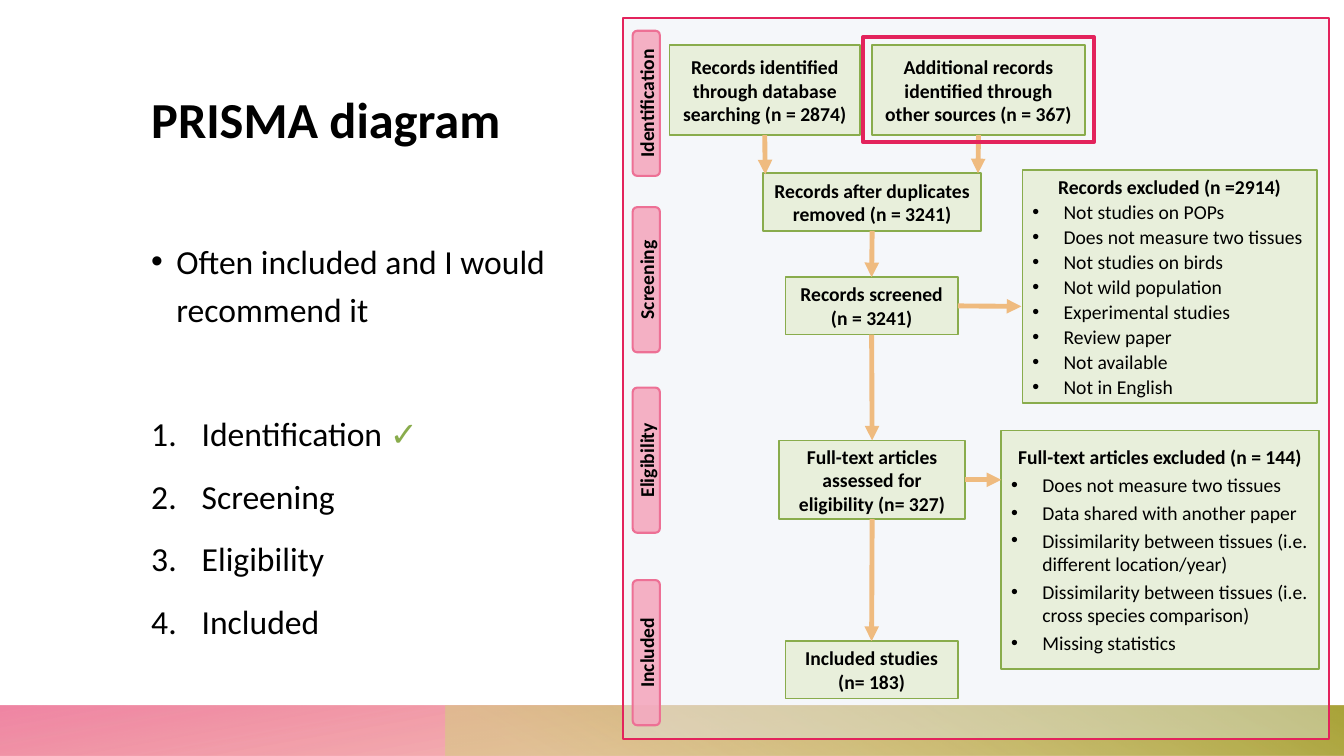
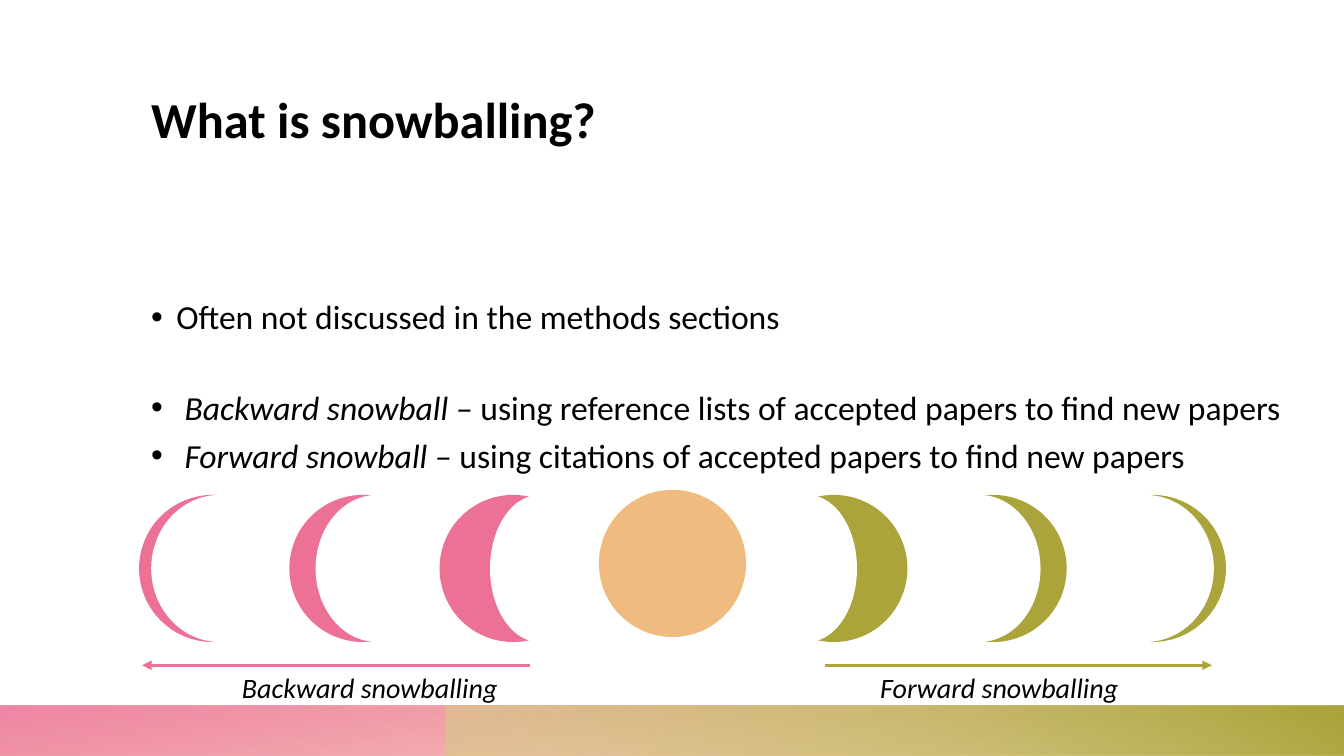
from dataclasses import dataclass
from typing import NamedTuple, Optional

from lxml import etree
from pptx import Presentation
from pptx import util as u
from pptx.dml.color import RGBColor
from pptx.enum import shapes, text
from pptx.oxml.ns import qn

PX = 9144  # EMU per px, 100 px to the inch
WIDTH, HEIGHT = 1333, 750
FONT = "Calibri"
COLORS = {
    "black": "000000", "white": "FFFFFF", "pane": "E6ECF3", "crimson": "E3235C",
    "pink": "ED7095", "light_pink": "F4A9BF", "coral": "E96150", "amber": "EFBB7F",
    "green": "89AC4C", "light_green": "E8EFDB", "olive": "AAA43A", "light_olive": "D4D081",
}
RECT = shapes.MSO_SHAPE.RECTANGLE
OVAL = shapes.MSO_SHAPE.OVAL
ROUNDED = shapes.MSO_SHAPE.ROUNDED_RECTANGLE
TOP, MIDDLE = text.MSO_ANCHOR.TOP, text.MSO_ANCHOR.MIDDLE
LEFT, CENTER = text.PP_ALIGN.LEFT, text.PP_ALIGN.CENTER
SIDE_TOP, SIDE_LEFT, SIDE_BOTTOM, SIDE_RIGHT = range(4)


class Area(NamedTuple):
    left: int
    top: int
    width: int
    height: int


class Stop(NamedTuple):
    position: float
    color: str
    alpha: int


class Band(NamedTuple):
    area: Area
    rotation: int
    angle: int
    stops: tuple[Stop, Stop]


@dataclass(frozen=True)
class Span:
    text: str
    bold: bool = False
    italic: bool = False
    color: str = "black"
    font: str = FONT


@dataclass(frozen=True)
class Para:
    spans: tuple[Span, ...]
    align: text.PP_ALIGN = LEFT
    bullet: str = ""  # "•", "1." or none
    indent: int = 0
    spacing: float = 1.0
    before: int = 0
    after: int = 0


@dataclass(frozen=True)
class FlowBox:
    area: Area
    heading: str
    items: tuple[str, ...] = ()
    item_gap: int = 0


@dataclass(frozen=True)
class Flow:
    start: str
    side: int
    end: str = ""  # joined box, or
    tip: Optional[tuple[int, int]] = None  # a free end


BANDS = (
    Band(Area(0, 700, WIDTH, 50), 180, 100, (Stop(0.14, "coral", 28), Stop(1, "pink", 85))),
    Band(Area(442, 700, 891, 50), 0, 240, (Stop(0.09, "light_olive", 55), Stop(0.99, "olive", 100))),
)
BOXES = {
    "database": FlowBox(Area(664, 45, 189, 89), "Records identified through database searching (n = 2874)"),
    "other": FlowBox(Area(865, 45, 211, 89), "Additional records identified through other sources (n = 367)"),
    "unique": FlowBox(Area(757, 172, 216, 57), "Records after duplicates removed (n = 3241)"),
    "screened": FlowBox(Area(779, 275, 171, 57), "Records screened (n = 3241)"),
    "excluded": FlowBox(
        Area(1014, 169, 292, 231), "Records excluded (n =2914)",
        ("Not studies on POPs", "Does not measure two tissues", "Not studies on birds",
         "Not wild population", "Experimental studies", "Review paper", "Not available",
         "Not in English"), 1),
    "assessed": FlowBox(Area(773, 437, 184, 78), "Full-text articles assessed for eligibility (n= 327)"),
    "rejected": FlowBox(
        Area(993, 427, 315, 237), "Full-text articles excluded (n = 144)",
        ("Does not measure two tissues", "Data shared with another paper",
         "Dissimilarity between tissues (i.e. different location/year)",
         "Dissimilarity between tissues (i.e. cross species comparison)",
         "Missing statistics"), 3),
    "included": FlowBox(Area(779, 636, 171, 57), "Included studies (n= 183)"),
}
FLOWS = (
    Flow("database", SIDE_BOTTOM, tip=(759, 173)),
    Flow("other", SIDE_BOTTOM, tip=(970, 172)),
    Flow("unique", SIDE_BOTTOM, "screened"),
    Flow("screened", SIDE_RIGHT, tip=(1013, 304)),
    Flow("screened", SIDE_BOTTOM, "assessed"),
    Flow("assessed", SIDE_RIGHT, tip=(993, 476)),
    Flow("assessed", SIDE_BOTTOM, "included"),
)
STAGES = {"Identification": 89, "Screening": 264, "Eligibility": 443, "Included": 634}


def rgb(name: str) -> RGBColor:
    return RGBColor.from_string(COLORS[name])


def emu(*lengths: int) -> list[int]:
    return [length * PX for length in lengths]


def set_alpha(color_element, percent: int) -> None:
    etree.SubElement(color_element, qn("a:alpha")).set("val", str(percent * 1000))


def add_box(page, kind, area: Area, fill: str = "", line: str = "", weight: float = 1.25,
            alpha: int = 100):
    box = page.shapes.add_shape(kind, *emu(*area))
    box.shadow.inherit = False
    if fill:
        box.fill.solid()
        box.fill.fore_color.rgb = rgb(fill)
        if alpha < 100:
            set_alpha(box.element.find(".//" + qn("a:srgbClr")), alpha)
    else:
        box.fill.background()
    if line:
        box.line.color.rgb = rgb(line)
        box.line.width = u.Pt(weight)
    else:
        box.line.fill.background()
    return box


def add_arrow(page, start: tuple[int, int], end: tuple[int, int], color: str, weight: float):
    arrow = page.shapes.add_connector(shapes.MSO_CONNECTOR.STRAIGHT, *emu(*start, *end))
    arrow.line.color.rgb = rgb(color)
    arrow.line.width = u.Pt(weight)
    outline = arrow.element.spPr.find(qn("a:ln"))
    etree.SubElement(outline, qn("a:tailEnd")).set("type", "triangle")
    etree.SubElement(arrow.element.spPr, qn("a:effectLst"))
    return arrow


def set_bullet(paragraph, bullet: str, indent: int) -> None:
    props = paragraph._p.get_or_add_pPr()
    props.set("marL", str(indent * PX))
    props.set("indent", str(-indent * PX))
    if not bullet:
        etree.SubElement(props, qn("a:buNone"))
        return
    etree.SubElement(props, qn("a:buFont")).set("typeface", "Arial" if bullet == "•" else FONT)
    if bullet == "•":
        etree.SubElement(props, qn("a:buChar")).set("char", bullet)
    else:
        etree.SubElement(props, qn("a:buAutoNum")).set("type", "arabicPeriod")


def write(frame, paras: list[Para], size: int, anchor=MIDDLE, margins: bool = True) -> None:
    frame.word_wrap = True
    frame.auto_size = text.MSO_AUTO_SIZE.NONE
    frame.vertical_anchor = anchor
    if not margins:
        frame.margin_left = frame.margin_right = frame.margin_top = frame.margin_bottom = 0
    frame.text = "\n".join(para.spans[0].text for para in paras)
    for paragraph, para in zip(frame.paragraphs, paras):
        paragraph.alignment = para.align
        paragraph.line_spacing = para.spacing
        paragraph.space_before, paragraph.space_after = u.Pt(para.before), u.Pt(para.after)
        set_bullet(paragraph, para.bullet, para.indent)
        for span in para.spans[1:]:
            paragraph.add_run().text = span.text
        for run, span in zip(paragraph.runs, para.spans):
            run.font.name, run.font.size = span.font, u.Pt(size)
            run.font.bold, run.font.italic = span.bold, span.italic
            run.font.color.rgb = rgb(span.color)


def add_bands(page, master) -> None:
    """Draw the footer bands and hand them to the master."""
    for band in BANDS:
        box = add_box(page, RECT, band.area)
        box.rotation = band.rotation
        box.element.spPr.find(qn("a:xfrm")).set("flipH", "1")
        box.fill.gradient()
        box.fill.gradient_angle = 360 - band.angle
        for grad_stop, stop in zip(box.fill.gradient_stops, band.stops):
            grad_stop.position = stop.position
            grad_stop.color.rgb = rgb(stop.color)
        for color, stop in zip(box.element.iter(qn("a:srgbClr")), band.stops):
            set_alpha(color, stop.alpha)
        master.shapes.element.append(box.element)


def place(shape, area: Area) -> None:
    shape.left, shape.top, shape.width, shape.height = emu(*area)


def add_page(deck, title: str, body_area: Area, body: list[Para]):
    page = deck.slides.add_slide(deck.slide_layouts[1])
    place(page.shapes.title, Area(150, 87, 1120, 135))
    write(page.shapes.title.text_frame, [Para((Span(title, bold=True),))], 36, TOP, False)
    place(page.placeholders[1], body_area)
    write(page.placeholders[1].text_frame, body, 24, TOP, False)
    return page


def add_prisma_page(deck):
    def step(*spans: Span, before: int = 10) -> Para:
        return Para(spans, bullet="1.", indent=50, spacing=1.2, before=before)

    page = add_page(deck, "PRISMA diagram", Area(150, 231, 450, 433), [
        Para((Span("Often included and I would recommend it"),), bullet="•", indent=25,
             spacing=1.2, before=10),
        step(Span("Identification "), Span("✓", bold=True, color="green", font="Arial"), before=54),
        *(step(Span(name)) for name in ("Screening", "Eligibility", "Included")),
    ])
    add_box(page, RECT, Area(618, 18, 700, 715), "pane", "crimson", 1.5, alpha=40)

    # Flow chart boxes and arrows
    drawn = {}
    for name, spec_box in BOXES.items():
        drawn[name] = add_box(page, RECT, spec_box.area, "light_green", "green")
        paras = [Para((Span(spec_box.heading, bold=True),), CENTER)]
        paras += [Para((Span(item),), bullet="•", indent=31, before=spec_box.item_gap)
                  for item in spec_box.items]
        write(drawn[name].text_frame, paras, 14)
    for flow in FLOWS:
        arrow = add_arrow(page, (0, 0), flow.tip or (0, 0), "amber", 3.5)
        arrow.begin_connect(drawn[flow.start], flow.side)
        if flow.end:
            arrow.end_connect(drawn[flow.end], SIDE_TOP)

    # Stage tags, turned to read upwards
    for stage, top in STAGES.items():
        tag = add_box(page, ROUNDED, Area(569, top, 144, 27), "light_pink", "pink", 1.5, alpha=90)
        tag.rotation = 270
        write(tag.text_frame, [Para((Span(stage, bold=True),), CENTER)], 14)

    # Highlight around the additional records
    add_box(page, RECT, Area(856, 37, 229, 104), line="crimson", weight=3)
    return page


def add_snowball_page(deck):
    def method(name: str, meaning: str, before: int = 0) -> Para:
        return Para((Span(name, italic=True), Span(meaning)), bullet="•", indent=33,
                    spacing=1.2, before=before)

    page = add_page(deck, "What is snowballing?", Area(150, 286, 1150, 195), [
        Para((Span("Often not discussed in the methods sections"),), bullet="•", indent=25,
             spacing=1.2, before=10, after=12),
        method("Backward snowball ", "– using reference lists of accepted papers to find new papers", 18),
        method("Forward snowball ", "– using citations of accepted papers to find new papers"),
    ])

    # Crescents: a disc partly hidden by a white oval, thinner outwards
    disc, top, overhang = 146, 491, 2
    for index, mask in enumerate((98, 122, 136)):
        back, ahead = 436 - 149 * index, 754 + 158 * index
        for left, mask_left, color in ((back, back + disc + overhang - mask, "pink"),
                                       (ahead, ahead - overhang, "olive")):
            add_box(page, OVAL, Area(left, top, disc, disc), color)
            add_box(page, OVAL, Area(mask_left, top, mask, disc), "white")
    add_box(page, OVAL, Area(594, 486, disc, disc), "amber")

    # Direction arrows and their labels
    for label, left, start, end, color in (
            ("Backward snowballing", 240, 526, 141, "pink"),
            ("Forward snowballing", 873, 818, 1202, "olive")):
        caption = page.shapes.add_textbox(*emu(left, 657, 285, 42))
        write(caption.text_frame, [Para((Span(label, italic=True),), spacing=1.2)], 20, MIDDLE, False)
        add_arrow(page, (start, 660), (end, 660), color, 2.25)
    return page


def main() -> None:
    deck = Presentation()
    deck.slide_width, deck.slide_height = emu(WIDTH, HEIGHT)
    first_page = add_prisma_page(deck)
    add_bands(first_page, deck.slide_master)
    add_snowball_page(deck)
    deck.save("out.pptx")


if __name__ == "__main__":
    main()
